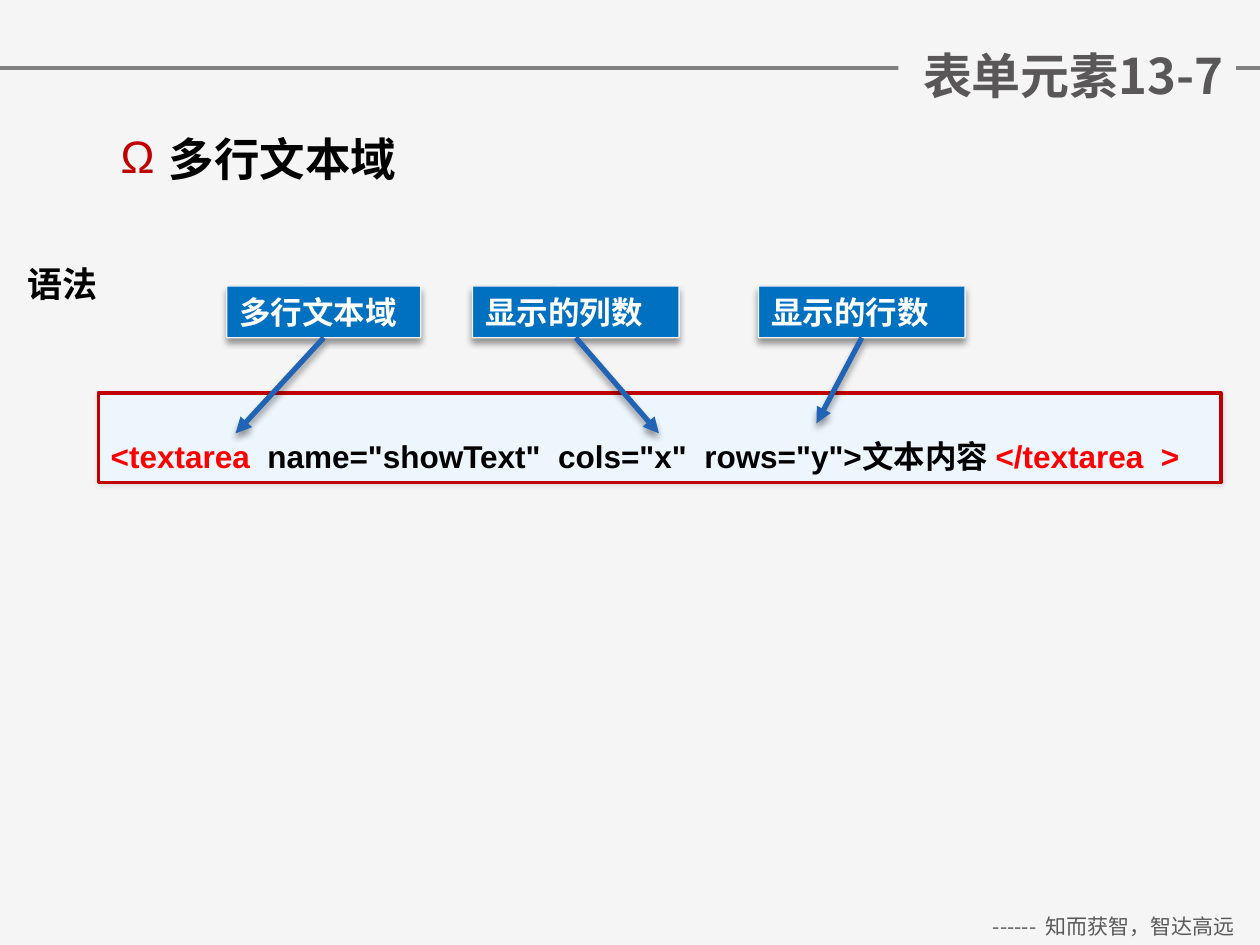
from dataclasses import dataclass

from lxml import etree
from pptx import Presentation
from pptx.dml.color import RGBColor
from pptx.enum.shapes import MSO_CONNECTOR, MSO_SHAPE
from pptx.enum.text import MSO_ANCHOR, MSO_AUTO_SIZE, PP_ALIGN
from pptx.oxml.ns import qn
from pptx.util import Inches, Pt

STRAIGHT = MSO_CONNECTOR.STRAIGHT
ROUNDED = MSO_SHAPE.ROUNDED_RECTANGLE
TOP, MIDDLE, BOTTOM = MSO_ANCHOR.TOP, MSO_ANCHOR.MIDDLE, MSO_ANCHOR.BOTTOM
LEFT, CENTER, RIGHT = PP_ALIGN.LEFT, PP_ALIGN.CENTER, PP_ALIGN.RIGHT
NO_RESIZE = MSO_AUTO_SIZE.NONE


@dataclass(frozen=True)
class Theme:
    background: str = "F5F5F5"
    rule: str = "808080"
    title: str = "595758"
    footer: str = "595959"
    ink: str = "000000"
    accent: str = "C00000"
    tag: str = "FF0000"
    code_fill: str = "EDF5FD"
    label_fill: str = "0070C0"
    label_line: str = "F2F2F2"
    label_text: str = "FFFFFF"
    arrow: str = "2163B4"
    chinese_font: str = "Noto Sans CJK SC"
    latin_font: str = "Arial"
    title_size: int = 28
    heading_size: int = 26
    syntax_size: int = 20
    code_size: int = 18
    footer_size: int = 12


THEME = Theme()


def rgb(color):
    return RGBColor.from_string(color)


def fill_solid(fill, color):
    fill.solid()
    fill.fore_color.rgb = rgb(color)


def add_shadow(effects, alpha=40, blur=4, distance=3, angle=90):
    shadow = etree.SubElement(
        effects, qn("a:outerShdw"), blurRad=str(Pt(blur)), dist=str(Pt(distance)),
        dir=str(angle * 60000), algn="ctr", rotWithShape="0")
    color = etree.SubElement(shadow, qn("a:srgbClr"), val=THEME.ink)
    etree.SubElement(color, qn("a:alpha"), val=str(alpha * 1000))


def write_text(shape, runs, size, font=THEME.chinese_font, bold=True, align=LEFT,
               anchor=TOP, wrap=True, line_spacing=None, bullet=None, shadow=False):
    """Fill the shape with one paragraph of (text, color) runs."""
    frame = shape.text_frame
    frame.word_wrap = wrap
    frame.auto_size = NO_RESIZE
    frame.vertical_anchor = anchor
    paragraph = frame.paragraphs[0]
    paragraph.alignment = align
    if line_spacing:
        paragraph.line_spacing = line_spacing
    if bullet:
        add_bullet(paragraph, bullet)
    for text, color in runs:
        run = paragraph.add_run()
        run.text = text
        run.font.size = Pt(size)
        run.font.bold = bold
        run.font.color.rgb = rgb(color)
        properties = run.font._element
        if shadow:
            add_shadow(etree.SubElement(properties, qn("a:effectLst")), distance=2, blur=2)
        run.font.name = font
        etree.SubElement(properties, qn("a:ea"), typeface=THEME.chinese_font)


def add_bullet(paragraph, character):
    properties = paragraph._p.get_or_add_pPr()
    properties.set("marL", str(Inches(0.38)))
    properties.set("indent", str(Inches(-0.38)))
    color = etree.SubElement(properties, qn("a:buClr"))
    etree.SubElement(color, qn("a:srgbClr"), val=THEME.accent)
    etree.SubElement(properties, qn("a:buFont"), typeface=THEME.latin_font)
    etree.SubElement(properties, qn("a:buChar"), char=character)


def add_text_box(slide, box, runs, size, **text_format):
    shape = slide.shapes.add_textbox(*map(Inches, box))
    write_text(shape, runs, size, **text_format)


def add_panel(slide, box, fill, line, line_width, corner=0, **shadow):
    shape = slide.shapes.add_shape(ROUNDED, *map(Inches, box))
    shape.adjustments[0] = corner
    fill_solid(shape.fill, fill)
    shape.line.color.rgb = rgb(line)
    shape.line.width = Pt(line_width)
    shape.shadow.inherit = False
    add_shadow(shape._element.spPr.find(qn("a:effectLst")), **shadow)
    return shape


def add_line(slide, start, end, color, width, arrow=False):
    line = slide.shapes.add_connector(STRAIGHT, *map(Inches, (*start, *end)))
    line.line.color.rgb = rgb(color)
    line.line.width = Pt(width)
    properties = line._element.spPr
    effects = etree.SubElement(properties, qn("a:effectLst"))
    if arrow:
        etree.SubElement(properties.find(qn("a:ln")), qn("a:tailEnd"), type="triangle")
        add_shadow(effects)
    return line


def add_title(slide, box, text):
    """Place the title over a rule that runs across the slide behind it."""
    title = slide.shapes.title
    title.left, title.top, title.width, title.height = map(Inches, box)
    fill_solid(title.fill, THEME.background)
    write_text(title, [(text, THEME.title)], THEME.title_size, align=RIGHT, anchor=MIDDLE)
    rule = add_line(slide, (0, 0.54), (10, 0.54), THEME.rule, 2)
    title._element.addprevious(rule._element)


def add_code(slide, box):
    panel = add_panel(slide, box, THEME.code_fill, THEME.accent, 2,
                      alpha=10, blur=3, distance=0, angle=0)
    runs = [("<textarea  ", THEME.tag),
            ('name="showText"  cols="x"  rows="y">文本内容 ', THEME.ink),
            ("</textarea  >", THEME.tag)]
    write_text(panel, runs, THEME.code_size, font=THEME.latin_font, line_spacing=2.0)


def add_callout(slide, box, text, target):
    """Add a label with an arrow from its bottom centre to the target."""
    left, top, width, height = box
    label = add_panel(slide, box, THEME.label_fill, THEME.label_line, 0.75, corner=0.018)
    write_text(label, [(text, THEME.label_text)], THEME.code_size,
               font=THEME.latin_font, anchor=BOTTOM)
    add_line(slide, (left + width / 2, top + height), target, THEME.arrow, 3, arrow=True)


def build_slide(presentation):
    slide = presentation.slides.add_slide(presentation.slide_layouts.get_by_name("Title Only"))
    fill_solid(slide.background.fill, THEME.background)
    add_title(slide, (7.13, 0.31, 2.68, 0.57), "表单元素13-7")
    add_text_box(slide, (7.68, 7.2, 2.32, 0.3), [("------  知而获智，智达高远", THEME.footer)],
                 THEME.footer_size, bold=False, align=CENTER)
    add_text_box(slide, (0.86, 0.99, 8.36, 5.63), [("多行文本域", THEME.ink)],
                 THEME.heading_size, bullet="Ω")
    add_text_box(slide, (0.12, 2.03, 0.77, 0.44), [("语法", THEME.ink)],
                 THEME.syntax_size, anchor=MIDDLE, wrap=False, shadow=True)
    add_code(slide, (0.78, 3.12, 8.91, 0.71))
    callouts = [("多行文本域", 1.8, 1.54, (1.87, 3.44)),
                ("显示的列数", 3.75, 1.64, (5.23, 3.44)),
                ("显示的行数", 6.02, 1.64, (6.48, 3.36))]
    for text, left, width, target in callouts:
        add_callout(slide, (left, 2.27, width, 0.41), text, target)


def main():
    presentation = Presentation()
    presentation.slide_width = Inches(10)
    presentation.slide_height = Inches(7.5)
    build_slide(presentation)
    presentation.save("out.pptx")


if __name__ == "__main__":
    main()
